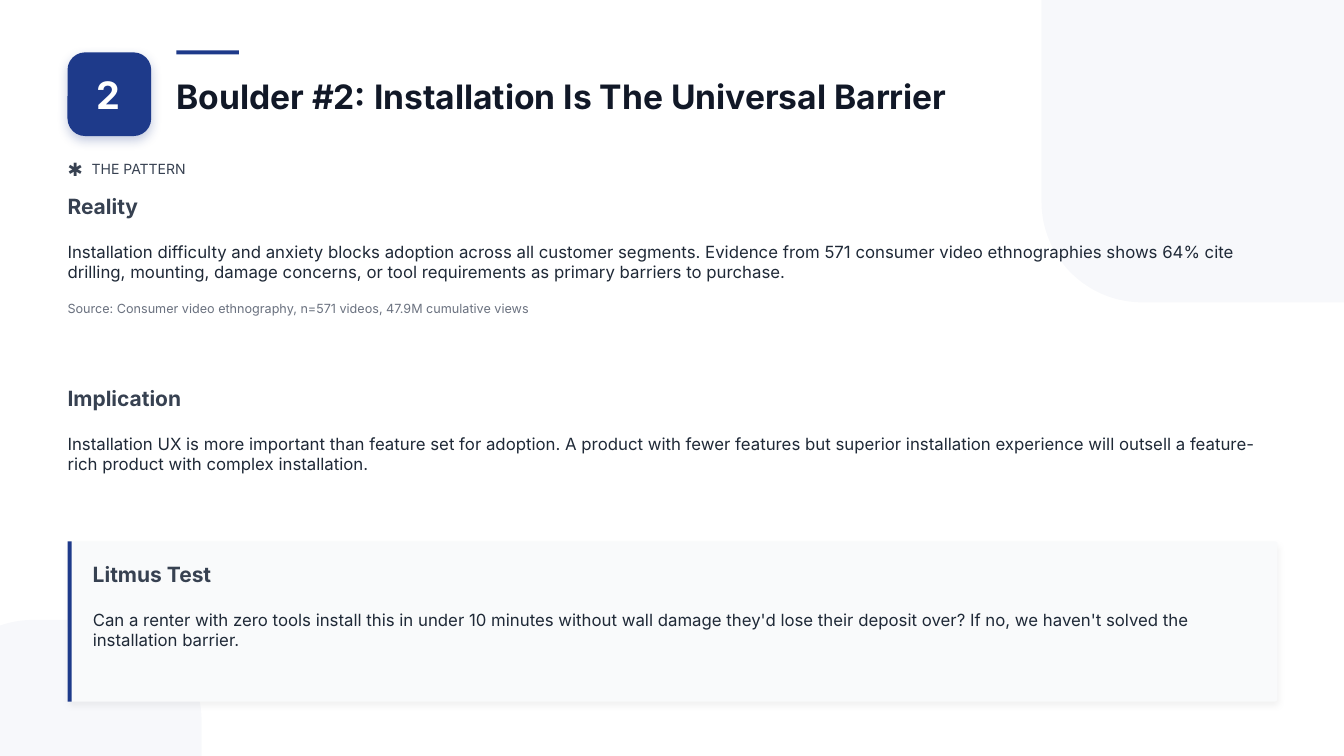
import pptx
import pptx.dml.color
import pptx.enum.shapes
import pptx.enum.text
import pptx.oxml
import pptx.oxml.ns
import pptx.util
from lxml import etree

RGBColor = pptx.dml.color.RGBColor
SHAPE = pptx.enum.shapes.MSO_SHAPE

NAVY = RGBColor(0x1E, 0x3A, 0x8A)
WHITE = RGBColor(0xFF, 0xFF, 0xFF)
PANEL = RGBColor(0xF9, 0xFA, 0xFB)
TITLE_INK = RGBColor(0x11, 0x18, 0x27)
BODY_INK = RGBColor(0x1F, 0x29, 0x37)
HEADING_INK = RGBColor(0x37, 0x41, 0x51)
SOURCE_INK = RGBColor(0x6B, 0x72, 0x80)
BLACK = RGBColor(0, 0, 0)
FONT = "Inter"

# Content
NUMBER = "2"
TITLE = "Boulder #2: Installation Is The Universal Barrier"
MARKER, LABEL = "✱", "THE PATTERN"
SOURCE = "Source: Consumer video ethnography, n=571 videos, 47.9M cumulative views"
REALITY = (
    "Installation difficulty and anxiety blocks adoption across all customer segments. "
    "Evidence from 571 consumer video ethnographies shows 64% cite drilling, mounting, "
    "damage concerns, or tool requirements as primary barriers to purchase."
)
IMPLICATION = (
    "Installation UX is more important than feature set for adoption. A product with fewer "
    "features but superior installation experience will outsell a feature-rich product with "
    "complex installation."
)
LITMUS = (
    "Can a renter with zero tools install this in under 10 minutes without wall damage they'd "
    "lose their deposit over? If no, we haven't solved the installation barrier."
)

# Layout in inches
WIDTH, HEIGHT = 13.33, 7.5
MARGIN = 0.67
CONTENT_WIDTH = 12
BADGE_TOP, BADGE_SIZE = 0.52, 0.83
TITLE_LEFT = MARGIN + BADGE_SIZE + 0.25
LABEL_TOP, LABEL_HEIGHT = 1.57, 0.22
PANEL_TOP, PANEL_HEIGHT = 5.37, 1.59
BAR = 0.04
INSET = 0.25
HEADING_HEIGHT, BODY_HEIGHT = 0.25, 0.5
BODY_OFFSET = 0.43

# heading, body, left, top, body width
SECTIONS = [
    ("Reality", REALITY, MARGIN, 1.92, 11.72),
    ("Implication", IMPLICATION, MARGIN, 3.82, 11.92),
    ("Litmus Test", LITMUS, MARGIN + INSET, PANEL_TOP + 0.2, 11.12),
]

presentation = pptx.Presentation()
presentation.slide_width = pptx.util.Inches(WIDTH)
presentation.slide_height = pptx.util.Inches(HEIGHT)
slide = presentation.slides.add_slide(presentation.slide_layouts[6])
slide.background.fill.solid()
slide.background.fill.fore_color.rgb = WHITE


def add_block(left, top, width, height, color, radius=None, opacity=None):
    """Add a filled rectangle; radius is the corner's share of the short side."""
    kind = SHAPE.RECTANGLE if radius is None else SHAPE.ROUNDED_RECTANGLE
    shape = slide.shapes.add_shape(kind, *map(pptx.util.Inches, (left, top, width, height)))
    shape.shadow.inherit = False
    shape.line.fill.background()
    shape.fill.solid()
    shape.fill.fore_color.rgb = color
    if radius is not None:
        shape.adjustments[0] = radius
    if opacity is not None:
        color_element = shape.fill._xPr.find(".//" + pptx.oxml.ns.qn("a:srgbClr"))
        set_alpha(color_element, opacity)
    return shape


def set_alpha(color_element, percent):
    alpha = etree.SubElement(color_element, pptx.oxml.ns.qn("a:alpha"))
    alpha.set("val", str(percent * 1000))


def add_shadow(shape, color, opacity, blur, distance):
    """Cast a soft shadow straight down; blur and distance are points."""
    effects = shape._element.spPr.find(pptx.oxml.ns.qn("a:effectLst"))
    shadow = etree.SubElement(effects, pptx.oxml.ns.qn("a:outerShdw"))
    shadow.set("blurRad", str(pptx.util.Pt(blur)))
    shadow.set("dist", str(pptx.util.Pt(distance)))
    shadow.set("dir", str(90 * 60000))
    shadow.set("algn", "ctr")
    shadow.set("rotWithShape", "0")
    color_element = etree.SubElement(shadow, pptx.oxml.ns.qn("a:srgbClr"))
    color_element.set("val", str(color))
    set_alpha(color_element, opacity)


def add_text(text, left, top, width, height, size, color, bold=False, wrap=False):
    box = slide.shapes.add_textbox(*map(pptx.util.Inches, (left, top, width, height)))
    frame = box.text_frame
    frame.word_wrap = wrap
    frame.vertical_anchor = pptx.enum.text.MSO_ANCHOR.MIDDLE
    frame.margin_left = frame.margin_right = frame.margin_top = frame.margin_bottom = 0
    frame.text = text
    paragraph = frame.paragraphs[0]
    paragraph.alignment = pptx.enum.text.PP_ALIGN.LEFT
    font = paragraph.runs[0].font
    font.name = FONT
    font.size = pptx.util.Pt(size)
    font.bold = bold
    font.color.rgb = color


# Pale corner decorations
add_block(WIDTH - 3, -1, 4, 4, NAVY, radius=0.25, opacity=3)
add_block(-0.67, 6.15, 2.67, 2.67, NAVY, radius=0.375, opacity=3)

# Number badge and title
badge = add_block(MARGIN, BADGE_TOP, BADGE_SIZE, BADGE_SIZE, NAVY, radius=0.21)
add_shadow(badge, NAVY, opacity=25, blur=8, distance=3)
add_text(NUMBER, 0.96, 0.66, 0.52, 0.56, 27, WHITE, bold=True)
add_block(TITLE_LEFT, 0.5, 0.62, BAR, NAVY)
add_text(TITLE, TITLE_LEFT, 0.75, 7.74, 0.41, 24, TITLE_INK, bold=True)

# Pattern label
add_text(MARKER, MARGIN, LABEL_TOP, 0.31, LABEL_HEIGHT, 13, HEADING_INK)
add_text(LABEL, 0.91, LABEL_TOP, 1.1, LABEL_HEIGHT, 10, HEADING_INK)

# Litmus panel
panel = add_block(MARGIN, PANEL_TOP, CONTENT_WIDTH, PANEL_HEIGHT, PANEL, radius=0.016)
add_shadow(panel, BLACK, opacity=5, blur=5, distance=2)
add_block(MARGIN, PANEL_TOP, BAR, PANEL_HEIGHT, NAVY)

# Headings with body text
for heading, body, left, top, width in SECTIONS:
    add_text(heading, left, top, 1.3, HEADING_HEIGHT, 15, HEADING_INK, bold=True)
    add_text(body, left, top + BODY_OFFSET, width, BODY_HEIGHT, 12, BODY_INK, wrap=True)

# Source line
add_text(SOURCE, MARGIN, 2.98, 4.67, 0.16, 9, SOURCE_INK)

presentation.save("out.pptx")
